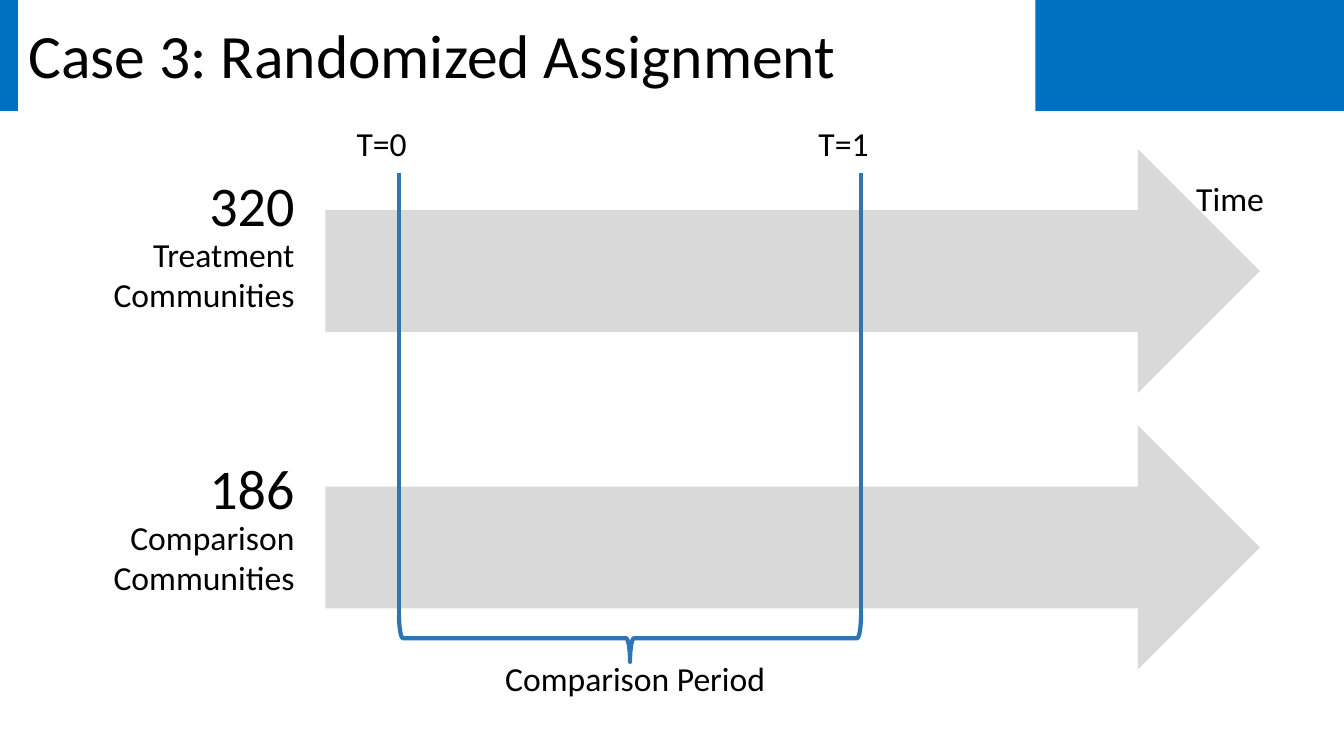
"""Build the randomized assignment timeline slide."""
import pptx
import pptx.util
import pptx.dml.color
import pptx.enum.shapes
import pptx.enum.text
import lxml.etree

Pt = pptx.util.Pt
MSO = pptx.enum.shapes.MSO_SHAPE
ALIGN = pptx.enum.text.PP_ALIGN
ANCHOR = pptx.enum.text.MSO_ANCHOR

TITLE = "Case 3: Randomized Assignment"
GROUPS = [
    {"count": "320", "label": "Treatment Communities", "arrow_top": 106.5, "text_top": 118},
    {"count": "186", "label": "Comparison Communities", "arrow_top": 304, "text_top": 320.3},
]
TIMES = [("T=0", 285), ("T=1", 615)]
AXIS, PERIOD = "Time", "Comparison Period"
BLUE, LINE_BLUE, GRAY, WHITE, BLACK = "0070C0", "2E75B6", "D9D9D9", "FFFFFF", "000000"
LINE_TOP, LINE_BOTTOM, LINE_WIDTH = 123.8, 444.2, 3
BRACE_TOP, BRACE_DEPTH = 439, 33.8


def rgb(color):
    return pptx.dml.color.RGBColor.from_string(color)


def style(p, size, align=ALIGN.LEFT):
    p.alignment = align
    p.font.size = Pt(size)
    p.font.name = "Calibri"
    p.font.color.rgb = rgb(BLACK)


def add_text(text, x, y, w, h, size=24, align=ALIGN.LEFT):
    tf = s.shapes.add_textbox(Pt(x), Pt(y), Pt(w), Pt(h)).text_frame
    tf.word_wrap = True
    tf.text = text
    style(tf.paragraphs[0], size, align)


def add_shape(kind, x, y, w, h, fill=None):
    sp = s.shapes.add_shape(kind, Pt(x), Pt(y), Pt(w), Pt(h))
    sp.shadow.inherit = False
    if fill:
        sp.fill.solid()
        sp.fill.fore_color.rgb = rgb(fill)
        sp.line.fill.background()
    else:
        sp.fill.background()
    return sp


def draw_line(line):
    line.color.rgb = rgb(LINE_BLUE)
    line.width = Pt(LINE_WIDTH)


prs = pptx.Presentation()
prs.slide_width, prs.slide_height = Pt(960), Pt(540)
s = prs.slides.add_slide(prs.slide_layouts[5])

band = add_shape(MSO.RECTANGLE, 0, 0, 960, 79.2, BLUE)
title = s.shapes.title
s.shapes._spTree.remove(band._element)
title._element.addprevious(band._element)
title.left, title.top, title.width, title.height = Pt(13), Pt(0), Pt(726.5), Pt(84.2)
title.fill.solid()
title.fill.fore_color.rgb = rgb(WHITE)
title.text_frame.text = TITLE
title.text_frame.vertical_anchor = ANCHOR.MIDDLE
title.text_frame.paragraphs[0].line_spacing = 0.9
style(title.text_frame.paragraphs[0], 44)

for group in GROUPS:
    add_shape(MSO.RIGHT_ARROW, 232.5, group["arrow_top"], 667.5, 174.2, GRAY)
for group in GROUPS:
    top = group["text_top"]
    add_text(group["count"], 0, top, 217.4, 50.4, 40, ALIGN.RIGHT)
    add_text(group["label"], 0, top + 45.4, 217.4, 90, 24, ALIGN.RIGHT)

add_text(AXIS, 847.4, 123.8, 105, 39.6)
for label, x in TIMES:
    add_text(label, x - 37.4, 84.2, 105, 39.6)
    cx = s.shapes.add_connector(pptx.enum.shapes.MSO_CONNECTOR.STRAIGHT,
                                Pt(x), Pt(LINE_TOP), Pt(x), Pt(LINE_BOTTOM))
    draw_line(cx.line)
    lxml.etree.SubElement(cx._element.spPr, pptx.oxml.ns.qn("a:effectLst"))

start, end = TIMES[0][1], TIMES[-1][1]
span, middle = end - start, (start + end) / 2
brace = add_shape(MSO.RIGHT_BRACE, middle - BRACE_DEPTH / 2,
                  BRACE_TOP + (BRACE_DEPTH - span) / 2, BRACE_DEPTH, span)
brace.rotation = 90
draw_line(brace.line)
add_text(PERIOD, 300, 466.6, 307.4, 39.6, 24, ALIGN.CENTER)

prs.save("out.pptx")
